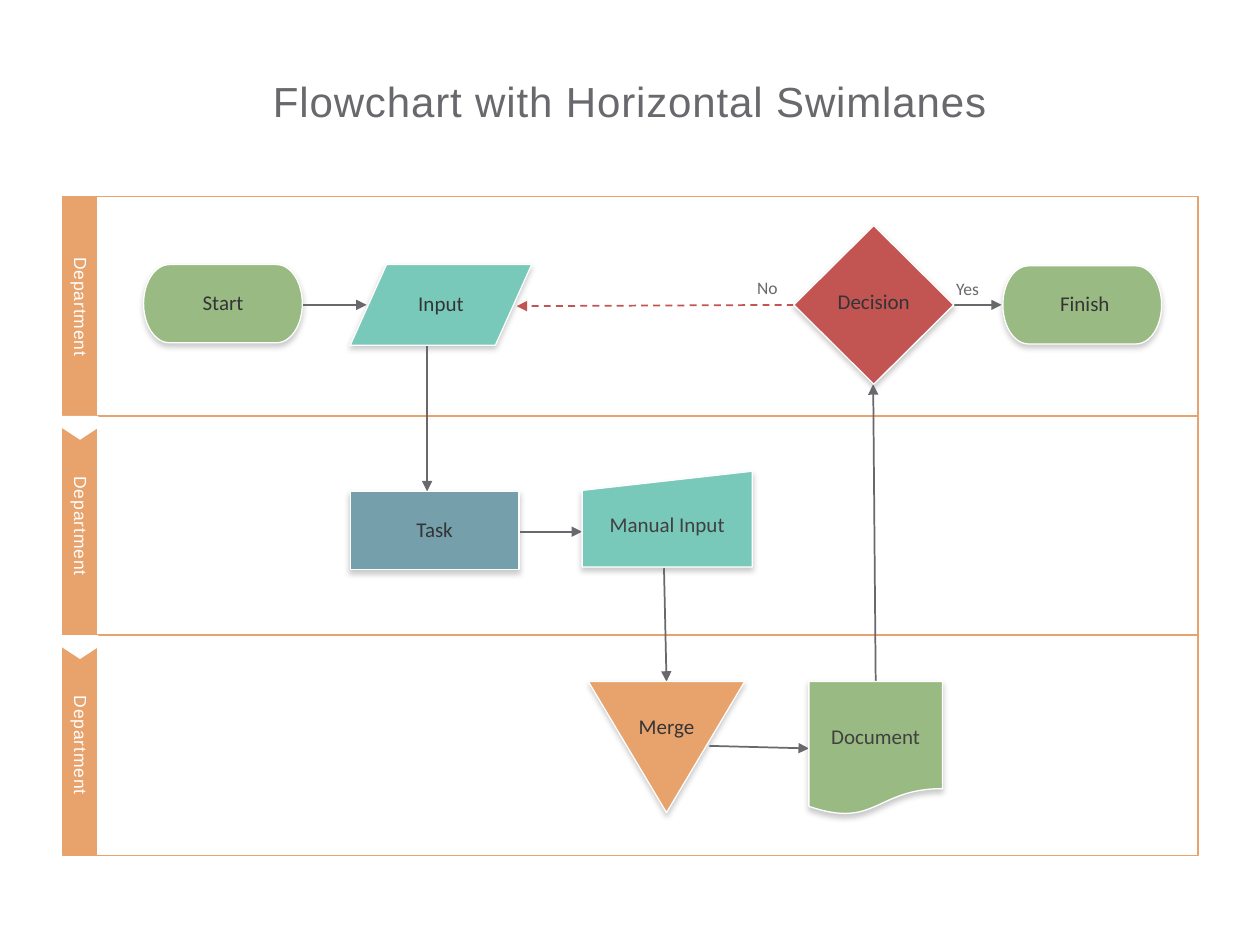
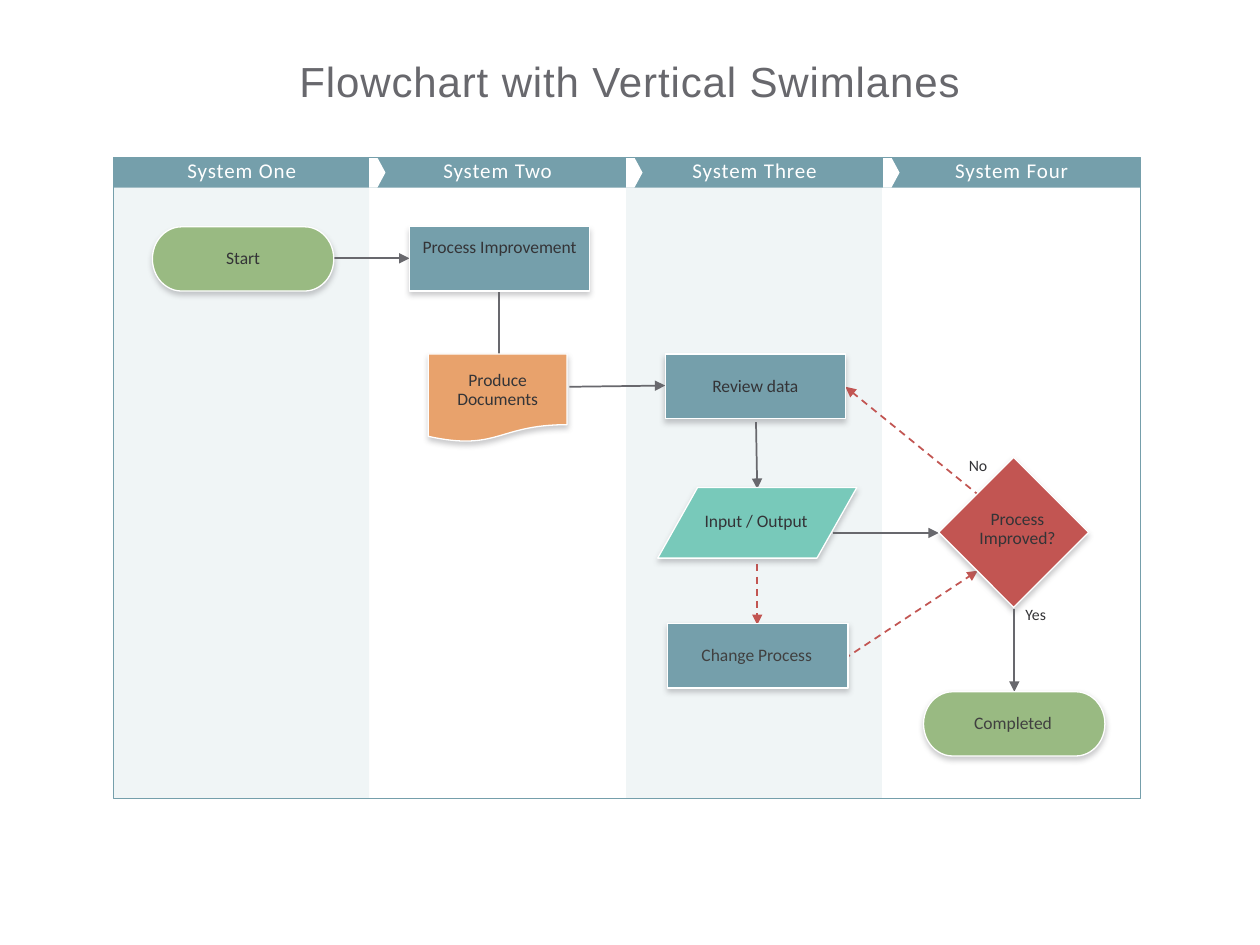
from dataclasses import dataclass

from lxml.etree import SubElement
from pptx import Presentation
from pptx.dml.color import RGBColor
from pptx.enum.dml import MSO_LINE_DASH_STYLE as DASH
from pptx.enum.shapes import MSO_CONNECTOR as CONN, MSO_SHAPE as SHAPE
from pptx.enum.text import MSO_ANCHOR as ANCHOR, MSO_AUTO_SIZE as FIT, PP_ALIGN as ALIGN
from pptx.oxml.ns import qn
from pptx.util import Emu, Pt

PX = 9144


@dataclass(frozen=True)
class Theme:
    """Colours, fonts and type sizes of the deck."""
    white: str = "FFFFFF"
    gray: str = "68686D"
    ink: str = "343437"
    soft_ink: str = "404040"
    orange: str = "E8A26C"
    green: str = "99BA82"
    teal: str = "78C9BA"
    blue: str = "759FAB"
    red: str = "C25552"
    head_font: str = "Arial"
    body_font: str = "Calibri"
    title: int = 24
    large: int = 12
    medium: int = 10
    small: int = 9


T = Theme()


def px(*lengths):
    """Turn px lengths into EMU."""
    return [Emu(n * PX) for n in lengths]


def rgb(color):
    """Return the colour object of a hex string."""
    return RGBColor.from_string(color)


def format_with(obj, **values):
    """Set each given attribute on the object."""
    for name, value in values.items():
        setattr(obj, name, value)


class Deck:
    """Style and current slide, with a method for each kind of element."""

    def __init__(self):
        """Open an empty 1000 by 750 px deck."""
        self.prs = Presentation()
        width, height = px(1000, 750)
        format_with(self.prs, slide_width=width, slide_height=height)
        self.slide = None

    def fill_text(self, s, text, size, color, font=T.body_font, align=ALIGN.CENTER,
                  spacing=None, tracked=False, wrap=True, anchor=ANCHOR.TOP):
        """Put formatted text into a shape."""
        tf = s.text_frame
        tf.text = text
        format_with(tf, word_wrap=wrap, vertical_anchor=anchor,
                    auto_size=FIT.SHAPE_TO_FIT_TEXT)
        p = tf.paragraphs[0]
        format_with(p, alignment=align, line_spacing=spacing)
        for r in p.runs:
            format_with(r.font, name=font, size=Pt(size))
            r.font.color.rgb = rgb(color)
        if tracked:
            for props in s.element.iter(qn("a:rPr")):
                props.set("spc", "50")

    def new_slide(self, title, top):
        """Start a slide with a centred title."""
        self.slide = self.prs.slides.add_slide(self.prs.slide_layouts[5])
        s = self.slide.shapes.title
        left, top, width, height = px(0, top, 1000, 50)
        format_with(s, left=left, top=top, width=width, height=height)
        self.fill_text(s, title, T.title, T.gray, T.head_font, tracked=True)

    def shape(self, kind, box, fill=None, line=None, weight=1, alpha=None,
              rotation=0, shadow=False, parent=None):
        """Draw a preset shape."""
        s = (parent or self.slide).shapes.add_shape(kind, *px(*box))
        s.rotation = rotation
        s.shadow.inherit = False
        if fill:
            s.fill.solid()
            s.fill.fore_color.rgb = rgb(fill)
        else:
            s.fill.background()
        if alpha:
            SubElement(s.element.spPr.find(".//" + qn("a:srgbClr")), qn("a:alpha"),
                       val=str(alpha * 1000))
        if line:
            s.line.color.rgb = rgb(line)
            s.line.width = Pt(weight)
        else:
            s.line.fill.background()
        if shadow:
            effects = s.element.spPr.find(qn("a:effectLst"))
            outer = SubElement(effects, qn("a:outerShdw"), blurRad=str(int(Pt(3.2))),
                               dist=str(int(Pt(2))), dir="5400000", rotWithShape="0")
            clr = SubElement(outer, qn("a:srgbClr"), val=T.gray)
            SubElement(clr, qn("a:alpha"), val="35000")
        return s

    def text(self, text, box, size, color, rotation=0, parent=None, **style):
        """Add a text box."""
        s = (parent or self.slide).shapes.add_textbox(*px(*box))
        s.rotation = rotation
        self.fill_text(s, text, size, color, **style)

    def node(self, kind, box, fill, text, drop, size, color=T.ink, shift=0,
             widen=0, height=30, spacing=None):
        """Group a flowchart symbol with its label, drop px below its top."""
        x, y, w, _ = box
        group = self.slide.shapes.add_group_shape()
        self.shape(kind, box, fill, T.white, 0.75, shadow=True, parent=group)
        label = (x - widen + shift, y + drop, w + 2 * widen, height)
        self.text(text, label, size, color, parent=group, spacing=spacing)

    def line(self, ends, color, arrow=False, dashed=False):
        """Draw a straight line, plain or with an arrowhead."""
        s = self.slide.shapes.add_connector(CONN.STRAIGHT, *px(*ends))
        s.line.color.rgb = rgb(color)
        s.line.width = Pt(1)
        if dashed:
            s.line.dash_style = DASH.DASH
        if arrow:
            SubElement(s.get_or_add_ln(), qn("a:tailEnd"), type="triangle")
        SubElement(s.element.spPr, qn("a:effectLst"))

    def arrows(self, flows, returns):
        """Draw the solid flow arrows and the dashed red ones."""
        for ends in flows:
            self.line(ends, T.gray, arrow=True)
        for ends in returns:
            self.line(ends, T.red, arrow=True, dashed=True)

    def answers(self, size, color, **places):
        """Label the branches of a decision."""
        for word, (x, y) in places.items():
            self.text(word, (x, y, 38, 27), size, color, align=ALIGN.LEFT, wrap=False)


def horizontal_lanes(deck):
    """Build the slide with three stacked department lanes."""
    deck.new_slide("Flowchart with Horizontal Swimlanes", 55)
    top, pitch = 156, 174
    deck.shape(SHAPE.RECTANGLE, (50, top, 27, 523), T.orange)
    deck.shape(SHAPE.RECTANGLE, (50, top, 901, 523), line=T.orange)
    for i in range(3):
        y = top + pitch * i
        if i:
            deck.line((77, y, 951, y), T.orange)
            deck.shape(SHAPE.PENTAGON, (54, y - 5, 19, 29), T.white, rotation=90)
        deck.text("Department", (-23, y + 74, 174, 27), T.medium, T.white, 90,
                  font=T.head_font, tracked=True)
    deck.arrows(
        [(240, 242, 291, 242), (339, 274, 339, 390), (412, 422, 462, 422),
         (527, 451, 529, 541), (563, 592, 642, 594), (695, 542, 693, 305),
         (755, 242, 795, 242)],
        [(630, 242, 410, 243)])
    for kind, box, fill, text, drop, extra in (
        (SHAPE.FLOWCHART_TERMINATOR, (114, 210, 126, 62), T.green, "Start", 15, {}),
        (SHAPE.FLOWCHART_DATA, (278, 210, 144, 64), T.teal, "Input", 16, {}),
        (SHAPE.FLOWCHART_PROCESS, (278, 390, 134, 62), T.blue, "Task", 15, {}),
        (SHAPE.FLOWCHART_MANUAL_INPUT, (462, 374, 135, 76), T.teal, "Manual Input", 27,
         {"color": T.soft_ink}),
        (SHAPE.FLOWCHART_MERGE, (467, 541, 124, 104), T.orange, "Merge", 24,
         {"spacing": 0.8, "height": 27}),
        (SHAPE.FLOWCHART_DOCUMENT, (642, 541, 106, 106), T.green, "Document", 28,
         {"color": T.soft_ink}),
        (SHAPE.FLOWCHART_DECISION, (630, 179, 127, 126), T.red, "Decision", 45, {}),
        (SHAPE.FLOWCHART_TERMINATOR, (796, 211, 126, 62), T.green, "Finish", 15,
         {"shift": 2}),
    ):
        deck.node(kind, box, fill, text, drop, T.large, **extra)
    deck.answers(T.medium, T.gray, No=(591, 215), Yes=(749, 216))


def vertical_lanes(deck):
    """Build the slide with four system lanes side by side."""
    deck.new_slide("Flowchart with Vertical Swimlanes", 39)
    left, top, pitch = 90, 125, 204
    deck.shape(SHAPE.RECTANGLE, (left, top, 815, 24), T.blue)
    for i, number in enumerate(("One", "Two", "Three", "Four")):
        x = left + pitch * i - (i > 0)
        if i % 2 == 0:
            deck.shape(SHAPE.RECTANGLE, (x, top + 24, 203, 485), T.blue, alpha=10)
        if i:
            deck.shape(SHAPE.PENTAGON, (x, top, 13, 24), T.white)
        deck.text(f"System {number}", (x, top - 5, pitch, 30), T.large, T.white,
                  tracked=True, anchor=ANCHOR.MIDDLE)
    deck.shape(SHAPE.RECTANGLE, (left, top, 815, 509), line=T.blue, weight=0.5)
    deck.arrows(
        [(265, 205, 325, 205), (396, 230, 396, 304), (452, 307, 528, 306),
         (600, 335, 601, 388), (661, 423, 745, 423), (805, 483, 805, 549)],
        [(601, 448, 601, 496), (670, 523, 776, 453), (778, 394, 671, 307)])
    for kind, box, fill, text, drop, extra in (
        (SHAPE.FLOWCHART_TERMINATOR, (121, 180, 144, 51), T.green, "Start", 11, {}),
        (SHAPE.FLOWCHART_PROCESS, (325, 180, 143, 51), T.blue, "Process Improvement", 4,
         {"spacing": 0.9, "height": 41}),
        (SHAPE.FLOWCHART_DOCUMENT, (340, 281, 110, 70), T.orange, "Produce Documents", 9,
         {"spacing": 0.9, "height": 37}),
        (SHAPE.FLOWCHART_PROCESS, (528, 281, 143, 51), T.blue, "Review data", 12, {}),
        (SHAPE.FLOWCHART_DATA, (522, 387, 158, 56), T.teal, "Input / Output", 13,
         {"shift": -1}),
        (SHAPE.FLOWCHART_PROCESS, (530, 495, 143, 51), T.blue, "Change Process", 11,
         {"color": T.soft_ink, "shift": -1}),
        (SHAPE.FLOWCHART_DECISION, (745, 363, 119, 119), T.red, "Process\vImproved?", 37,
         {"spacing": 0.9, "height": 41, "shift": 3, "widen": 6}),
        (SHAPE.FLOWCHART_TERMINATOR, (733, 549, 144, 51), T.green, "Completed", 11,
         {"color": T.soft_ink, "shift": -1}),
    ):
        deck.node(kind, box, fill, text, drop, T.medium, **{"height": 27, **extra})
    deck.answers(T.small, T.ink, No=(759, 357), Yes=(804, 475))


def main():
    """Build and save the deck."""
    deck = Deck()
    horizontal_lanes(deck)
    vertical_lanes(deck)
    deck.prs.save("out.pptx")


if __name__ == "__main__":
    main()
